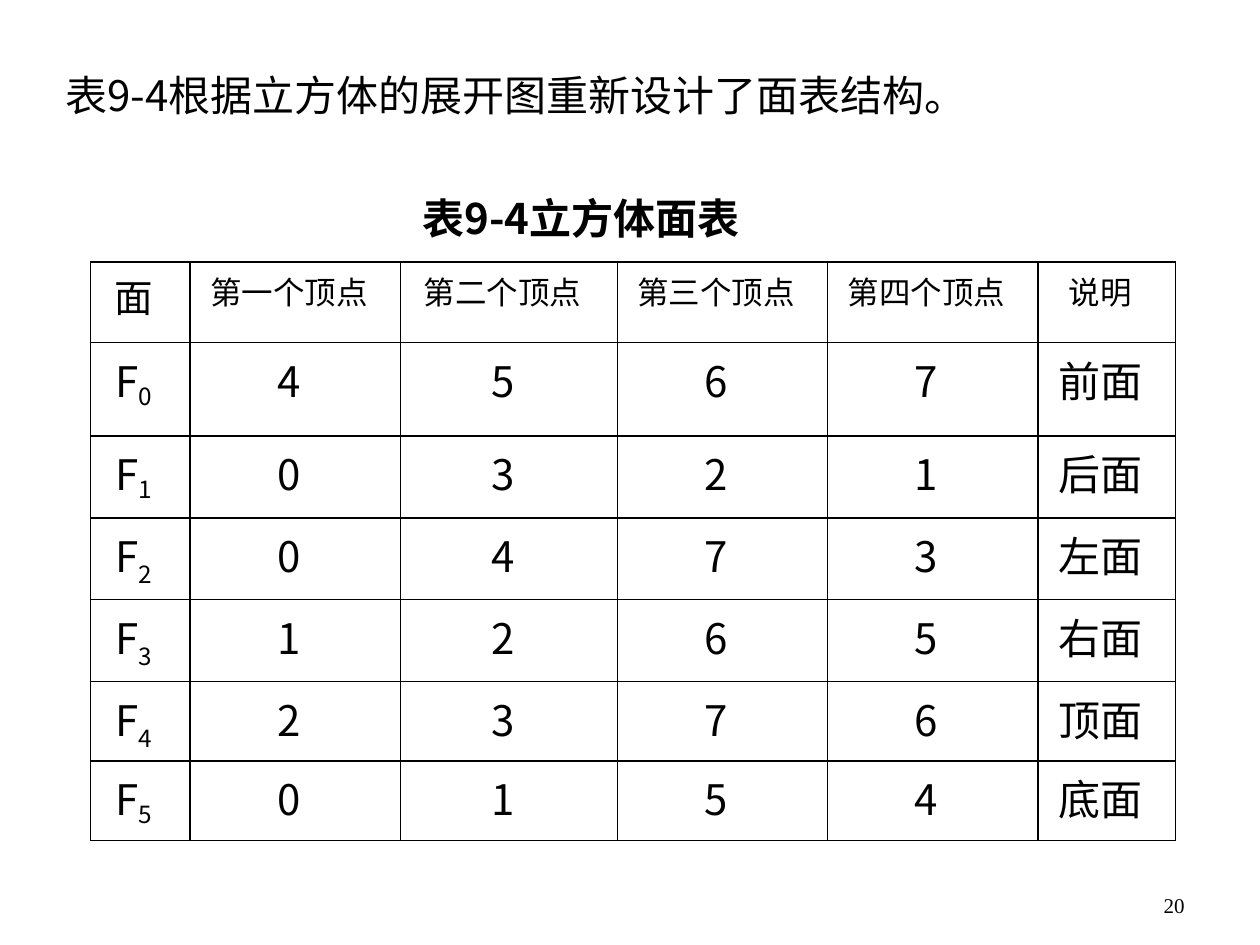
from lxml.etree import SubElement
from pptx import Presentation
from pptx.dml.color import RGBColor
from pptx.enum.text import MSO_ANCHOR as ANCHOR, MSO_AUTO_SIZE as AUTO_SIZE, PP_ALIGN as ALIGN
from pptx.oxml.ns import qn
from pptx.util import Inches, Pt

SANS, SERIF = "Noto Sans CJK SC", "Times New Roman"
INK = "000000"
SLIDE_W, SLIDE_H = 10, 7.5
COLUMNS = [0.79, 1.67, 1.72, 1.67, 1.67, 1.09]
ROWS = [0.64, 0.74, 0.65, 0.65, 0.65, 0.63, 0.63]
HEADINGS = ["面", "第一个顶点", "第二个顶点", "第三个顶点", "第四个顶点", "说明"]
FACES = [
    ("4567", "前面", -18),
    ("0321", "后面", -18),
    ("0473", "左面", -25),
    ("1265", "右面", -25),
    ("2376", "顶面", -25),
    ("0154", "底面", -18),
]


def colour(value):
    return RGBColor.from_string(value)


def write(frame, text, size=24, font=SANS, bold=False, align=ALIGN.CENTER, subscript="", baseline=0):
    paragraph = frame.paragraphs[0]
    paragraph.alignment = align
    for part, shift in ((text, 0), (subscript, baseline)):
        if not part:
            continue
        run = paragraph.add_run()
        run.text = part
        run.font.size = Pt(size)
        run.font.bold = bold
        run.font.color.rgb = colour(INK)
        run.font.name = font
        properties = run.font._element
        SubElement(properties, qn("a:ea"), typeface=SANS)
        if shift:
            properties.set("baseline", str(shift * 1000))


def place(shape, box, anchor):
    shape.left, shape.top, shape.width, shape.height = map(Inches, box)
    frame = shape.text_frame
    frame.word_wrap = True
    frame.auto_size = AUTO_SIZE.NONE
    frame.vertical_anchor = anchor
    return frame


def add_text(slide, box, text, anchor=ANCHOR.TOP, **style):
    write(place(slide.shapes.add_textbox(0, 0, 0, 0), box, anchor), text, **style)


def add_caption(slide, box):
    write(place(slide.shapes.title, box, ANCHOR.MIDDLE), "表9-4立方体面表", bold=True)


def outline(cell):
    properties = cell._tc.get_or_add_tcPr()
    for position, side in enumerate(("a:lnL", "a:lnR", "a:lnT", "a:lnB")):
        line = SubElement(properties, qn(side), w=str(Pt(1)))
        fill = SubElement(line, qn("a:solidFill"))
        SubElement(fill, qn("a:srgbClr"), val=INK)
        properties.insert(position, line)


def fill_cell(cell, text, **style):
    cell.fill.background()
    cell.margin_left, cell.margin_right = 0, Inches(0.1)
    cell.margin_top = cell.margin_bottom = Inches(0.05)
    outline(cell)
    write(cell.text_frame, text, **style)


def add_face_table(slide, box):
    left, top, width, height = map(Inches, box)
    table = slide.shapes.add_table(len(ROWS), len(COLUMNS), left, top, width, height).table
    table.first_row = table.horz_banding = False
    for column, share in zip(table.columns, COLUMNS):
        column.width = int(width * share / sum(COLUMNS))
    for row, share in zip(table.rows, ROWS):
        row.height = int(height * share / sum(ROWS))
    for column, heading in enumerate(HEADINGS):
        fill_cell(table.cell(0, column), heading, size=18 if column else 22, font=SERIF)
    for index, (vertices, side, baseline) in enumerate(FACES):
        row = index + 1
        fill_cell(table.cell(row, 0), "F", subscript=str(index), baseline=baseline)
        for column, vertex in enumerate(vertices, 1):
            fill_cell(table.cell(row, column), vertex)
        fill_cell(table.cell(row, len(COLUMNS) - 1), side, font=SERIF)


def main():
    deck = Presentation()
    deck.slide_width, deck.slide_height = Inches(SLIDE_W), Inches(SLIDE_H)
    slide = deck.slides.add_slide(deck.slide_layouts[5])
    add_text(slide, (0.42, 0.5, 7.58, 0.57), "表9-4根据立方体的展开图重新设计了面表结构。", align=ALIGN.LEFT)
    add_caption(slide, (2.69, 1.48, 3.84, 0.5))
    add_face_table(slide, (0.72, 2.08, sum(COLUMNS), sum(ROWS)))
    add_text(slide, (7.17, 6.83, 2.33, 0.5), "20", ANCHOR.BOTTOM, size=12, font=SERIF, align=ALIGN.RIGHT)
    deck.save("out.pptx")


if __name__ == "__main__":
    main()
